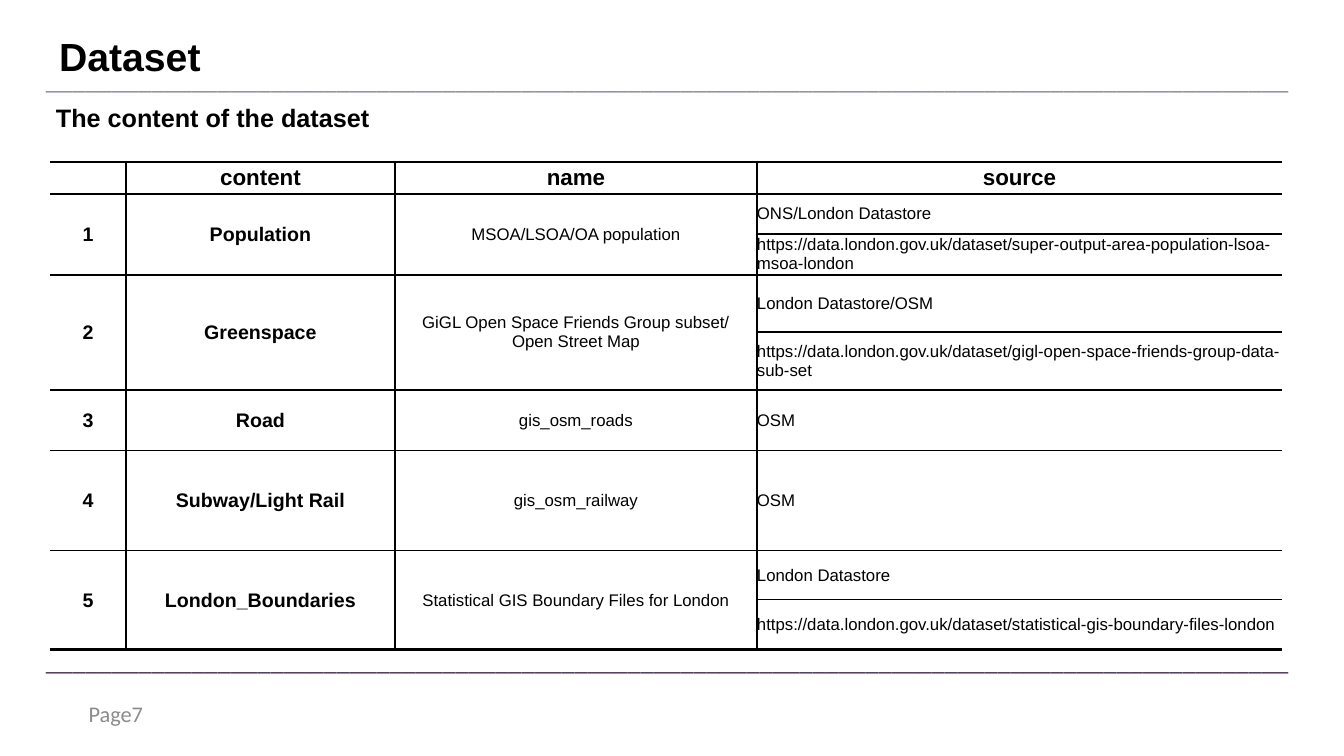
from lxml.etree import SubElement
from pptx import Presentation
from pptx.dml.color import RGBColor
from pptx.enum.text import MSO_ANCHOR as Anchor, PP_ALIGN as Align
from pptx.oxml.ns import qn
from pptx.util import Emu, Pt

SCALE = 914400 / 100.8  # EMU per px
COLORS = {"ink": "000000", "paper": "FFFFFF", "top rule": "958B9A",
          "bottom rule": "4F3B56", "page number": "8C8C8C"}
NO_STYLE = "{2D5ABB26-0587-4C30-8999-92F81FD0307C}"
THIN, THICK = 1, 2.25


def px(*lengths):
    return [Emu(round(length * SCALE)) for length in lengths]


def write(frame, text, size, bold=False, align=Align.LEFT, font="Arial", color="ink"):
    frame.text = text
    for para in frame.paragraphs:
        para.alignment = align
        for name, value in {"name": font, "size": Pt(size), "bold": bold}.items():
            setattr(para.font, name, value)
        para.font.color.rgb = RGBColor.from_string(COLORS[color])


deck = Presentation()
deck.slide_width, deck.slide_height = px(1344, 756)
page = deck.slides.add_slide(deck.slide_layouts[5])

# Title
title = page.shapes.title
title.left, title.top, title.width, title.height = px(49, 35, 1057, 47)
write(title.text_frame, "Dataset", 28, bold=True)
title.text_frame.vertical_anchor = Anchor.MIDDLE
title.text_frame.paragraphs[0].line_spacing = 0.9

# Rules, subtitle and page number
RULE = "_" * 94
calibri = {"font": "Calibri"}
boxes = [
    ((36, 639, 1272, 42), RULE, 19, Anchor.TOP, {**calibri, "color": "bottom rule"}),
    ((36, 58, 1272, 42), RULE, 19, Anchor.TOP, {**calibri, "color": "top rule"}),
    ((46, 97, 363, 40), "The content of the dataset", 18, Anchor.TOP, {"bold": True}),
    ((43, 694, 110, 40), "Page7", 16, Anchor.MIDDLE,
     {**calibri, "color": "page number", "align": Align.RIGHT}),
]
for area, text, size, anchor, style in boxes:
    frame = page.shapes.add_textbox(*px(*area)).text_frame
    frame.word_wrap = True
    frame.vertical_anchor = anchor
    write(frame, text, size, **style)

# Dataset table: each entry takes one row per source line
SITE = "https://data.london.gov.uk/dataset/"
entries = [
    ("", "content", "name", ["source"]),
    ("1", "Population", "MSOA/LSOA/OA population",
     ["ONS/London Datastore", SITE + "super-output-area-population-lsoa-msoa-london"]),
    ("2", "Greenspace", "GiGL Open Space Friends Group subset/\nOpen Street Map",
     ["London Datastore/OSM", SITE + "gigl-open-space-friends-group-data-sub-set"]),
    ("3", "Road", "gis_osm_roads", ["OSM"]),
    ("4", "Subway/Light Rail", "gis_osm_railway", ["OSM"]),
    ("5", "London_Boundaries", "Statistical GIS Boundary Files for London",
     ["London Datastore", SITE + "statistical-gis-boundary-files-london"]),
]
column_widths = [76, 269, 362, 525]
row_heights = [32, 40, 41, 57, 58, 61, 100, 49, 50]
last_row = len(row_heights) - 1

table = page.shapes.add_table(len(row_heights), len(column_widths), *px(
    50, 162, sum(column_widths), sum(row_heights))).table
table.first_row = table.horz_banding = False
table._tbl.tblPr.find(qn("a:tableStyleId")).text = NO_STYLE
for column, width in zip(table.columns, px(*column_widths)):
    column.width = width
for row, height in zip(table.rows, px(*row_heights)):
    row.height = height

first = 0
for *labels, sources in entries:
    last = first + len(sources) - 1
    header = first == 0
    for column, label in enumerate(labels):
        if last > first:
            table.cell(first, column).merge(table.cell(last, column))
        size = 16 if header else 12 if column == 2 else 14
        write(table.cell(first, column).text_frame, label, size,
              bold=header or column < 2, align=Align.CENTER)
    for row, source in enumerate(sources, first):
        write(table.cell(row, 3).text_frame, source, 16 if header else 12,
              bold=header, align=Align.CENTER if header else Align.LEFT)
        for column in range(4):
            cell = table.cell(row, column)
            top, bottom = (row, row) if column == 3 else (first, last)
            borders = {
                "a:lnL": THIN if column in (1, 2) else 0,
                "a:lnR": THIN if column in (0, 1) else 0,
                "a:lnT": THICK if top == 0 else THIN,
                "a:lnB": THICK if bottom == last_row else THIN,
            }
            cell.vertical_anchor = Anchor.MIDDLE
            for side in ("left", "right", "top", "bottom"):
                setattr(cell, f"margin_{side}", 0)
            for tag, weight in borders.items():
                if weight:
                    line = SubElement(cell._tc.tcPr, qn(tag), w=str(Pt(weight)))
                    fill = SubElement(line, qn("a:solidFill"))
                    SubElement(fill, qn("a:srgbClr"), val=COLORS["ink"])
            cell.fill.solid()
            cell.fill.fore_color.rgb = RGBColor.from_string(COLORS["paper"])
    first = last + 1

deck.save("out.pptx")
